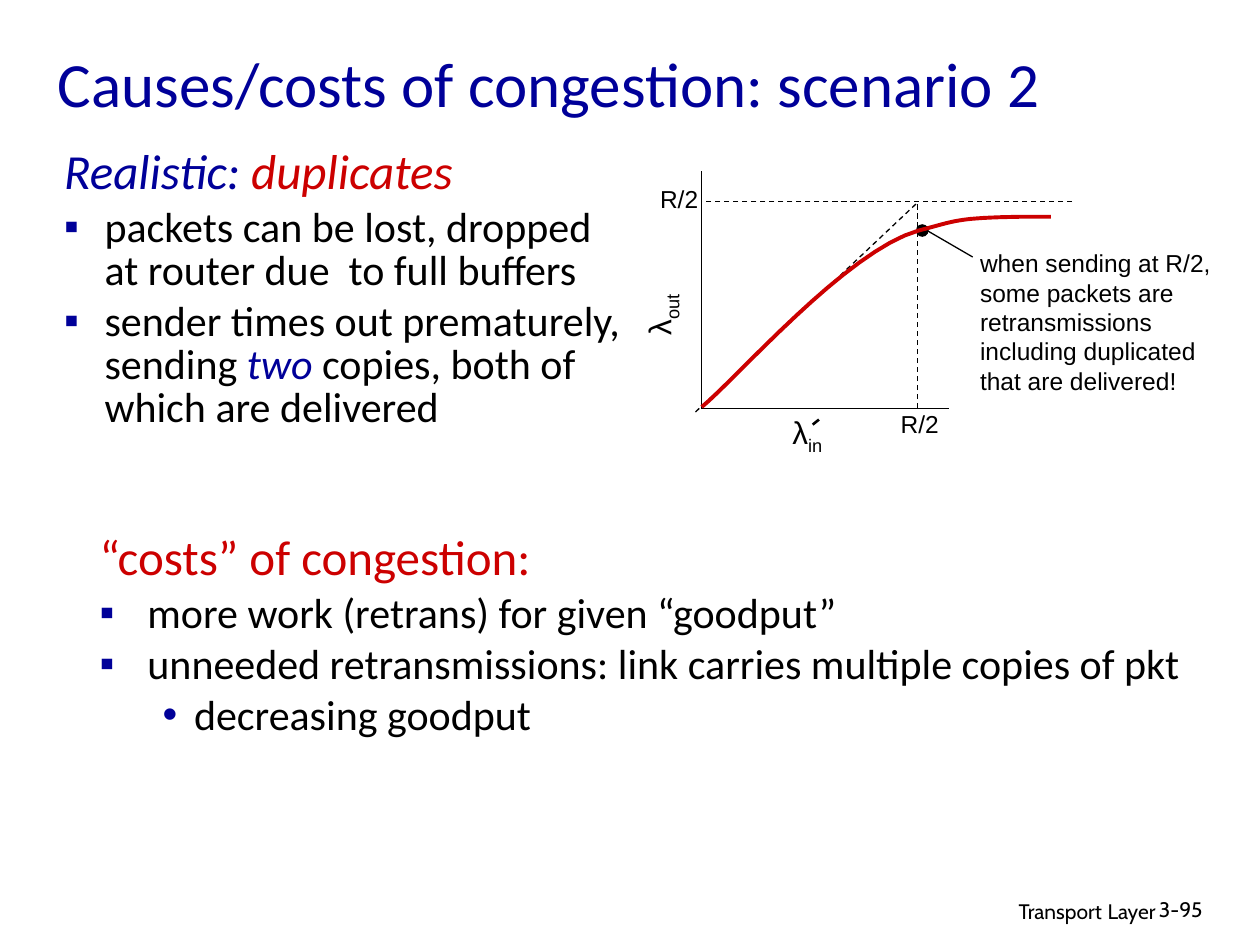
from lxml.etree import SubElement
from pptx import Presentation
from pptx.dml.color import RGBColor
from pptx.enum.dml import MSO_LINE
from pptx.enum.shapes import MSO_CONNECTOR, MSO_SHAPE
from pptx.enum.text import MSO_ANCHOR, MSO_AUTO_SIZE, PP_ALIGN
from pptx.oxml.ns import qn
from pptx.util import Inches, Pt

COLORS = {"ink": "000000", "blue": "000099", "red": "CC0000"}
ORIGIN = (5.57, 3.23)
CURVES = [
    [(5.85, 3), (6.72, 1.99), (7.29, 1.83)],
    [(7.6, 1.75), (7.58, 1.73), (8.11, 1.72)],
    [(8.34, 1.72), (8.29, 1.72), (8.34, 1.72)],
]
CURVE_STEPS = 16


def rgb(name):
    return RGBColor.from_string(COLORS[name])


def add_text(para, text, size=14, font="Arial", color="ink", italic=False, baseline=0):
    span = para.add_run()
    span.text = text
    span.font.size = Pt(size)
    span.font.name = font
    span.font.color.rgb = rgb(color)
    span.font.italic = italic
    if baseline:
        span._r.get_or_add_rPr().set("baseline", str(baseline * 1000))
    return span


def place(shape, left, top, width, height):
    shape.left, shape.top = Inches(left), Inches(top)
    shape.width, shape.height = Inches(width), Inches(height)


def add_label(slide, at, spans, wrap=False, align=PP_ALIGN.LEFT, rotation=0):
    box = slide.shapes.add_textbox(*map(Inches, at))
    box.rotation = rotation
    box.text_frame.word_wrap = wrap
    para = box.text_frame.paragraphs[0]
    para.alignment = align
    for text, style in spans:
        add_text(para, text, **style)


def add_line(slide, start, end, width=0.75, dashed=False, arrow=False):
    line = slide.shapes.add_connector(
        MSO_CONNECTOR.STRAIGHT, *map(Inches, (*start, *end)))
    line.line.color.rgb = rgb("ink")
    line.line.width = Pt(width)
    if dashed:
        line.line.dash_style = MSO_LINE.DASH
    if arrow:
        SubElement(line.line._get_or_add_ln(), qn("a:tailEnd"), type="triangle")
    SubElement(line._element.spPr, qn("a:effectLst"))


def add_dot(slide, left, top, size):
    dot = slide.shapes.add_shape(
        MSO_SHAPE.OVAL, *map(Inches, (left, top, size, size)))
    dot.shadow.inherit = False
    dot.fill.solid()
    dot.fill.fore_color.rgb = rgb("ink")
    dot.line.fill.background()


def bezier(points, t):
    weights = ((1 - t) ** 3, 3 * t * (1 - t) ** 2, 3 * t ** 2 * (1 - t), t ** 3)
    return tuple(
        Inches(sum(weight * point[axis] for weight, point in zip(weights, points)))
        for axis in (0, 1))


def add_throughput_curve(slide):
    builder = slide.shapes.build_freeform(*map(Inches, ORIGIN))
    start = ORIGIN
    for controls in CURVES:
        builder.add_line_segments(
            [bezier([start, *controls], step / CURVE_STEPS)
             for step in range(1, CURVE_STEPS + 1)], close=False)
        start = controls[-1]
    curve = builder.convert_to_shape()
    curve.shadow.inherit = False
    curve.fill.background()
    curve.line.color.rgb = rgb("red")
    curve.line.width = Pt(2.25)


def format_paragraph(para, size, margin, hanging, bullet=None):
    para.line_spacing = 0.85
    para.space_before = Pt(size * 0.2)
    properties = para._p.get_or_add_pPr()
    properties.set("marL", str(Inches(margin)))
    properties.set("indent", str(-Inches(hanging)))
    if bullet:
        color = SubElement(properties, qn("a:buClr"))
        SubElement(color, qn("a:srgbClr"), val=COLORS["blue"])
        SubElement(properties, qn("a:buFont"), typeface="Arial")
        SubElement(properties, qn("a:buChar"), char=bullet)
    else:
        SubElement(properties, qn("a:buNone"))


def fill_list(body, at, items):
    place(body, *at)
    frame = body.text_frame
    frame.auto_size = MSO_AUTO_SIZE.NONE
    frame.word_wrap = True
    for index, (spans, size, margin, hanging, bullet) in enumerate(items):
        para = frame.add_paragraph() if index else frame.paragraphs[0]
        para.level = 1 if bullet == "•" else 0
        format_paragraph(para, size, margin, hanging, bullet)
        for text, style in spans:
            add_text(para, text, size=size, font="Calibri", **style)


def fill_title(title):
    place(title, 0.36, 0.13, 8.5, 0.95)
    title.text_frame.vertical_anchor = MSO_ANCHOR.MIDDLE
    para = title.text_frame.paragraphs[0]
    para.alignment = PP_ALIGN.LEFT
    add_text(para, "Causes/costs of congestion: scenario 2",
             size=36, font="Calibri", color="blue")
    add_text(para, " ", size=44, font="Calibri", color="blue")


def add_graph(slide):
    symbol, subscript = {"size": 18}, {"size": 18, "baseline": -25}
    add_line(slide, (5.57, 1.36), (5.57, 3.24))
    add_line(slide, (7.53, 3.24), (5.56, 3.24))
    add_line(slide, (8.51, 1.6), (5.56, 1.6), dashed=True)
    add_line(slide, (5.52, 3.27), (7.29, 1.6), dashed=True)
    add_line(slide, (7.28, 3.24), (7.28, 1.62), dashed=True)
    add_dot(slide, 7.27, 1.78, 0.1)
    add_line(slide, (7.72, 2.04), (7.29, 1.79), arrow=True)
    add_throughput_curve(slide)
    for left, top in ((5.14, 1.41), (7.05, 3.2)):
        add_label(slide, (left, top, 0.5, 0.33), [("R/2", {})])
    add_label(slide, (4.89, 2.22, 0.68, 0.4),
              [("λ", symbol), ("out", subscript)], wrap=True, rotation=270)
    add_label(slide, (6.19, 3.23, 0.47, 0.4), [("λ", symbol), ("in", subscript)])
    add_line(slide, (6.45, 3.37), (6.5, 3.33), width=1.5)
    add_label(slide, (7.68, 1.92, 2.06, 1.26),
              [("when sending at R/2, some packets are retransmissions "
                "including duplicated that are delivered!", {})], wrap=True)


def add_footer(slide):
    small = {"size": 12, "font": "Cabin"}
    add_label(slide, (6.1, 7.05, 3.17, 0.31),
              [("Transport", small), (" ", {"size": 14, "font": "Cabin"}),
               ("Layer", small)], wrap=True, align=PP_ALIGN.RIGHT)
    add_label(slide, (9.1, 7.07, 0.74, 0.3), [("3-95", small)], wrap=True)


def main():
    deck = Presentation()
    deck.slide_width, deck.slide_height = Inches(10), Inches(7.5)
    slide = deck.slides.add_slide(deck.slide_layouts.get_by_name("Two Content"))
    title, causes, costs = slide.placeholders
    fill_title(title)
    fill_list(causes, (0.41, 1.14, 4.71, 2.1), [
        ([("Realistic: ", {"color": "blue", "italic": True}),
          ("duplicates", {"color": "red", "italic": True})], 28, 0.38, 0.38, None),
        ([("packets can be lost, dropped at router due  to full buffers", {})],
         24, 0.32, 0.32, "▪"),
        ([("sender times out prematurely, sending ", {}),
          ("two ", {"color": "blue", "italic": True}),
          ("copies, both of which are delivered", {})], 24, 0.32, 0.32, "▪"),
    ])
    fill_list(costs, (0.69, 4.2, 8.91, 1.08), [
        ([("“costs” of congestion:", {"color": "red"})], 28, 0.38, 0.38, None),
        ([("more work (retrans) for given “goodput”", {})], 24, 0.38, 0.38, "▪"),
        ([("unneeded retransmissions: link carries multiple copies of pkt", {})],
         24, 0.38, 0.38, "▪"),
        ([("decreasing goodput", {})], 24, 0.75, 0.25, "•"),
    ])
    add_graph(slide)
    add_footer(slide)
    deck.save("out.pptx")


if __name__ == "__main__":
    main()
